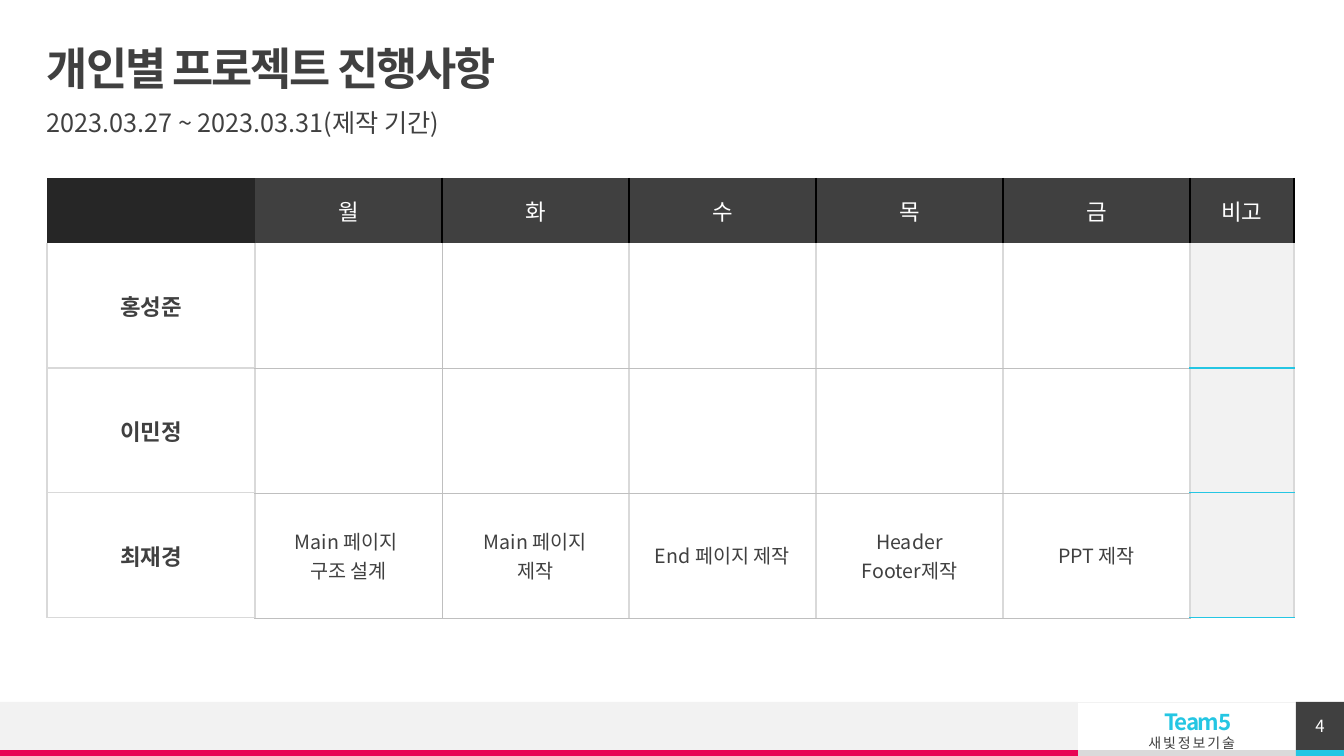
from lxml.etree import SubElement
from pptx import Presentation
from pptx.dml.color import RGBColor
from pptx.enum.shapes import MSO_CONNECTOR, MSO_SHAPE
from pptx.enum.text import MSO_ANCHOR, MSO_AUTO_SIZE, PP_ALIGN
from pptx.oxml.ns import qn
from pptx.util import Emu, Pt

FONT = "Noto Sans CJK KR"
WHITE = RGBColor(0xFF, 0xFF, 0xFF)
BLACK = RGBColor(0x00, 0x00, 0x00)
CHARCOAL = RGBColor(0x26, 0x26, 0x26)
DARK = RGBColor(0x40, 0x40, 0x40)
RULE = RGBColor(0xBF, 0xBF, 0xBF)
PALE_RULE = RGBColor(0xD9, 0xD9, 0xD9)
STRIP = RGBColor(0xDA, 0xDA, 0xDA)
PALE = RGBColor(0xF2, 0xF2, 0xF2)
CYAN = RGBColor(0x25, 0xC6, 0xE3)
PINK = RGBColor(0xE8, 0x05, 0x54)

PAGE_WIDTH, PAGE_HEIGHT = 1344, 756
FOOTER_TOP, STRIP_TOP = 702, 750
COLUMNS = [208] + [187] * 5 + [104]
ROWS = [65] + [125] * 3
SCHEDULE = [
    ["", "월", "화", "수", "목", "금", "비고"],
    ["홍성준", "", "", "", "", "", ""],
    ["이민정", "", "", "", "", "", ""],
    ["최재경", "Main 페이지 \n구조 설계", "Main 페이지\n제작",
     "End 페이지 제작", "Header\nFooter제작", "PPT 제작", ""],
]


def px(length):
    return Emu(round(length * 914400 / 100.8))


def place(left, top, width, height):
    return px(left), px(top), px(width), px(height)


def add_span(para, text, size, color, bold=False, spacing=0):
    span = para.add_run()
    span.text = text
    span.font.size = Pt(size)
    span.font.bold = bold
    span.font.color.rgb = color
    span.font.name = FONT
    properties = span.font._element
    latin = properties.find(qn("a:latin"))
    east_asian = SubElement(properties, qn("a:ea"), typeface=FONT)
    latin.addnext(east_asian)
    if spacing:
        properties.set("spc", str(round(spacing * 100)))


def set_frame(frame, margins=(0, 0, 0, 0), anchor=MSO_ANCHOR.MIDDLE):
    frame.word_wrap = True
    frame.auto_size = MSO_AUTO_SIZE.NONE
    frame.vertical_anchor = anchor
    (frame.margin_left, frame.margin_top,
     frame.margin_right, frame.margin_bottom) = map(px, margins)
    return frame.paragraphs[0]


def add_block(page, left, top, width, height, color):
    block = page.shapes.add_shape(
        MSO_SHAPE.RECTANGLE, *place(left, top, width, height))
    block.shadow.inherit = False
    block.fill.solid()
    block.fill.fore_color.rgb = color
    block.line.fill.background()
    return block


def add_footer(page):
    strip_height = PAGE_HEIGHT - STRIP_TOP
    band_height = STRIP_TOP - FOOTER_TOP
    add_block(page, 1078, STRIP_TOP, 219, strip_height, STRIP)
    add_block(page, 0, FOOTER_TOP, 1078, band_height, PALE)

    # Team name
    box = page.shapes.add_textbox(*place(1129, 708, 116, 43))
    para = set_frame(box.text_frame, (10, 12, 10, 0))
    box.text_frame.auto_size = MSO_AUTO_SIZE.SHAPE_TO_FIT_TEXT
    para.alignment = PP_ALIGN.RIGHT
    para.line_spacing = Pt(11)
    add_span(para, "Team5 ", 16, CYAN, True, -1)
    para.add_line_break()
    add_span(para, "새빛정보기술", 10, DARK, False, 1.4)

    # Coloured strips and top rule
    add_block(page, 0, STRIP_TOP, 1078, strip_height, PINK)
    add_block(page, 1296, STRIP_TOP, 48, strip_height, CYAN)
    rule = page.shapes.add_connector(
        MSO_CONNECTOR.STRAIGHT, px(PAGE_WIDTH), px(FOOTER_TOP), 0, px(FOOTER_TOP))
    rule.line.color.rgb = PALE
    rule.line.width = Pt(0.5)
    SubElement(rule._element.spPr, qn("a:effectLst"))


def add_headings(page):
    title = page.shapes.title
    title.left, title.top, title.width, title.height = place(47, 47, 1249, 47)
    para = set_frame(title.text_frame)
    para.alignment = PP_ALIGN.LEFT
    para.line_spacing = 0.9
    add_span(para, "개인별 프로젝트 진행사항", 32, DARK, True, -1.5)

    period = page.shapes.add_textbox(*place(47, 111, 1250, 39))
    para = set_frame(period.text_frame, anchor=MSO_ANCHOR.TOP)
    para.line_spacing = 0.9
    para.space_before = Pt(10)
    add_span(para, "2023.03.27 ~ 2023.03.31(제작 기간)", 18, DARK)


def cell_borders(row, column):
    """Return the drawn sides of a schedule cell as (colour, points)."""
    if row == 0:
        sides = {"L": (BLACK, 1)} if column > 1 else {}
        if column > 0:
            sides["R"] = (BLACK, 1)
        return sides
    pale, thin = (PALE_RULE, 1), (RULE, 0.25)
    across = {0: pale, len(COLUMNS) - 1: (CYAN, 1)}.get(column, thin)
    sides = {"L": thin if column == 2 else pale,
             "R": thin if column == 1 else pale,
             "B": across}
    if row > 1:
        sides["T"] = across
    return sides


def draw_borders(cell, sides):
    properties = cell._tc.get_or_add_tcPr()
    for side in "LRTB":
        line = SubElement(properties, qn(f"a:ln{side}"))
        if side in sides:
            color, points = sides[side]
            line.set("w", str(Pt(points)))
            fill = SubElement(line, qn("a:solidFill"))
            SubElement(fill, qn("a:srgbClr"), val=str(color))
        else:
            SubElement(line, qn("a:noFill"))


def cell_fill(row, column):
    if row == 0:
        return DARK if column else CHARCOAL
    return {0: WHITE, len(COLUMNS) - 1: PALE}.get(column)


def add_schedule(page):
    table = page.shapes.add_table(
        len(ROWS), len(COLUMNS), *place(47, 178, sum(COLUMNS), sum(ROWS))).table
    table.first_row = table.horz_banding = False
    for column, width in zip(table.columns, COLUMNS):
        column.width = px(width)
    for row, height in zip(table.rows, ROWS):
        row.height = px(height)
    for r, texts in enumerate(SCHEDULE):
        for c, text in enumerate(texts):
            cell = table.cell(r, c)
            draw_borders(cell, cell_borders(r, c))
            color = cell_fill(r, c)
            if color is None:
                cell.fill.background()
            else:
                cell.fill.solid()
                cell.fill.fore_color.rgb = color
            cell.vertical_anchor = MSO_ANCHOR.MIDDLE
            is_task = r > 0 and c > 0
            for i, line in enumerate(text.split("\n") if text else []):
                frame = cell.text_frame
                para = frame.add_paragraph() if i else frame.paragraphs[0]
                para.alignment = PP_ALIGN.CENTER
                add_span(para, line, 14 if is_task else 16,
                         DARK if r else WHITE, r > 0 and c == 0)


def add_page_number(page):
    block = add_block(page, 1296, FOOTER_TOP, 48, 48, DARK)
    para = set_frame(block.text_frame)
    para.alignment = PP_ALIGN.CENTER
    add_span(para, "4", 12, WHITE)


def main():
    deck = Presentation()
    deck.slide_width, deck.slide_height = px(PAGE_WIDTH), px(PAGE_HEIGHT)
    page = deck.slides.add_slide(deck.slide_layouts[5])
    add_footer(page)
    add_headings(page)
    add_schedule(page)
    add_page_number(page)
    deck.save("out.pptx")


if __name__ == "__main__":
    main()
